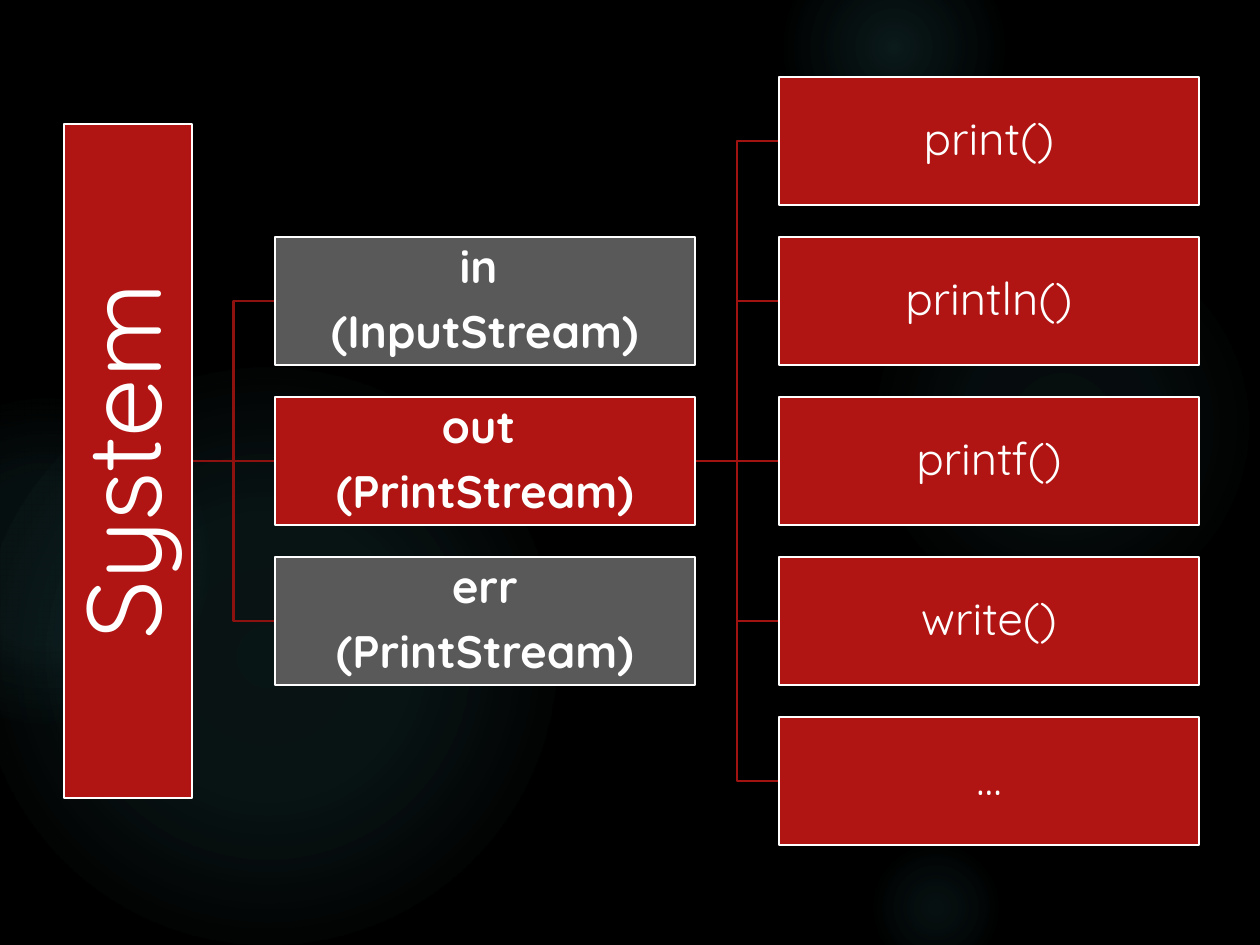
from dataclasses import dataclass

from lxml import etree
from pptx import Presentation
from pptx.dml.color import RGBColor
from pptx.enum.shapes import MSO_CONNECTOR, MSO_SHAPE
from pptx.enum.text import MSO_ANCHOR, PP_ALIGN
from pptx.oxml import parse_xml
from pptx.oxml.ns import nsdecls, qn
from pptx.util import Emu, Pt

RECTANGLE, OVAL = MSO_SHAPE.RECTANGLE, MSO_SHAPE.OVAL
STRAIGHT, ELBOW = MSO_CONNECTOR.STRAIGHT, MSO_CONNECTOR.ELBOW
CENTER, MIDDLE = PP_ALIGN.CENTER, MSO_ANCHOR.MIDDLE
LEFT_SIDE, RIGHT_SIDE = 1, 3


@dataclass(frozen=True)
class Theme:
    font: str = "Quicksand"
    background: str = "000000"
    glow: str = "50B9C1"
    red: str = "B01513"
    gray: str = "595959"
    white: str = "FFFFFF"
    stream_line: str = "8D110F"
    method_line: str = "A01311"
    root_size: int = 60
    box_size: int = 26
    line_width: float = 1.5
    line_spacing: float = 0.9
    space_after: float = 0.35  # share of the type size


THEME = Theme()

# Layout in px, 126 to the inch
SLIDE_W, SLIDE_H = 1260, 945
BOX_W, BOX_H, ROW_STEP = 420, 128, 160
CENTER_Y = 461
ROOT_X, ROOT_H = 64, 674
STREAM_X, METHOD_X = 275, 779

# Left, top, diameter, and gradient stops as (position %, opacity %)
GLOWS = [
    (868, 231, 388, [(0, 7), (36, 6), (69, 0)]),
    (784, -63, 220, [(0, 14), (36, 7), (73, 0)]),
    (868, 840, 136, [(0, 9), (36, 5), (66, 0)]),
    (-21, 368, 577, [(0, 11), (36, 10), (75, 0)]),
    (-116, 399, 325, [(0, 8), (36, 8), (72, 0)]),
]
STREAMS = [
    ("in \n(InputStream)", THEME.gray),
    ("out \n(PrintStream)", THEME.red),
    ("err\n(PrintStream)", THEME.gray),
]
METHODS = ["print()", "println()", "printf()", "write()", "…"]


def px(length):
    return Emu(round(length * 914400 / 126))


def rgb(color):
    return RGBColor.from_string(color)


def add_glow(slide, left, top, diameter, stops):
    glow = slide.shapes.add_shape(OVAL, px(left), px(top), px(diameter), px(diameter))
    glow.shadow.inherit = False
    glow.line.fill.background()
    stop_xml = "".join(
        f'<a:gs pos="{position * 1000}"><a:srgbClr val="{THEME.glow}">'
        f'<a:alpha val="{opacity * 1000}"/></a:srgbClr></a:gs>'
        for position, opacity in stops
    )
    gradient = parse_xml(
        f'<a:gradFill {nsdecls("a")} rotWithShape="1"><a:gsLst>{stop_xml}</a:gsLst>'
        '<a:path path="circle"><a:fillToRect l="50000" t="50000" r="50000" b="50000"/>'
        "</a:path></a:gradFill>"
    )
    glow._element.spPr.find(qn("a:prstGeom")).addnext(gradient)


def add_box(slide, left, center_y, width, height, text, fill, size, inset, bold=False):
    box = slide.shapes.add_shape(
        RECTANGLE, px(left), px(center_y - height / 2), px(width), px(height)
    )
    box.shadow.inherit = False
    box.fill.solid()
    box.fill.fore_color.rgb = rgb(fill)
    box.line.color.rgb = rgb(THEME.white)
    box.line.width = Pt(THEME.line_width)

    frame = box.text_frame
    frame.text = text
    frame.word_wrap = True
    frame.vertical_anchor = MIDDLE
    frame.margin_left = frame.margin_right = px(inset)
    frame.margin_top = frame.margin_bottom = px(inset)
    for paragraph in frame.paragraphs:
        paragraph.alignment = CENTER
        paragraph.line_spacing = THEME.line_spacing
        paragraph.space_after = Pt(round(size * THEME.space_after))
        for run in paragraph.runs:
            run.font.name = THEME.font
            run.font.size = Pt(size)
            run.font.bold = bold
            run.font.color.rgb = rgb(THEME.white)
    return box


def add_root(slide):
    root = add_box(slide, ROOT_X, CENTER_Y, BOX_H, ROOT_H, "System",
                   THEME.red, THEME.root_size, inset=5)
    # The label reads from bottom to top
    root.text_frame._txBody.bodyPr.set("vert", "vert270")
    return root


def add_column(slide, left, entries, bold):
    first_y = CENTER_Y - ROW_STEP * (len(entries) - 1) / 2
    return [
        add_box(slide, left, first_y + row * ROW_STEP, BOX_W, BOX_H, text,
                fill, THEME.box_size, inset=3, bold=bold)
        for row, (text, fill) in enumerate(entries)
    ]


def add_branches(slide, parent, children, color, behind):
    middle = len(children) // 2
    for row, child in enumerate(children):
        kind = STRAIGHT if row == middle else ELBOW
        branch = slide.shapes.add_connector(kind, 0, 0, 0, 0)
        branch.begin_connect(parent, RIGHT_SIDE)
        branch.end_connect(child, LEFT_SIDE)
        branch.line.color.rgb = rgb(color)
        branch.line.width = Pt(THEME.line_width)
        etree.SubElement(branch._element.spPr, qn("a:effectLst"))
        behind._element.addprevious(branch._element)


def main():
    presentation = Presentation()
    presentation.slide_width, presentation.slide_height = px(SLIDE_W), px(SLIDE_H)
    slide = presentation.slides.add_slide(presentation.slide_layouts[6])

    # Dark background with soft glows
    slide.background.fill.solid()
    slide.background.fill.fore_color.rgb = rgb(THEME.background)
    for glow in GLOWS:
        add_glow(slide, *glow)

    # Tree of boxes
    root = add_root(slide)
    streams = add_column(slide, STREAM_X, STREAMS, bold=True)
    methods = add_column(slide, METHOD_X, [(name, THEME.red) for name in METHODS], bold=False)

    # Branches, kept behind the boxes
    out_stream = streams[1]
    add_branches(slide, root, streams, THEME.stream_line, behind=root)
    add_branches(slide, out_stream, methods, THEME.method_line, behind=root)

    presentation.save("out.pptx")


if __name__ == "__main__":
    main()
